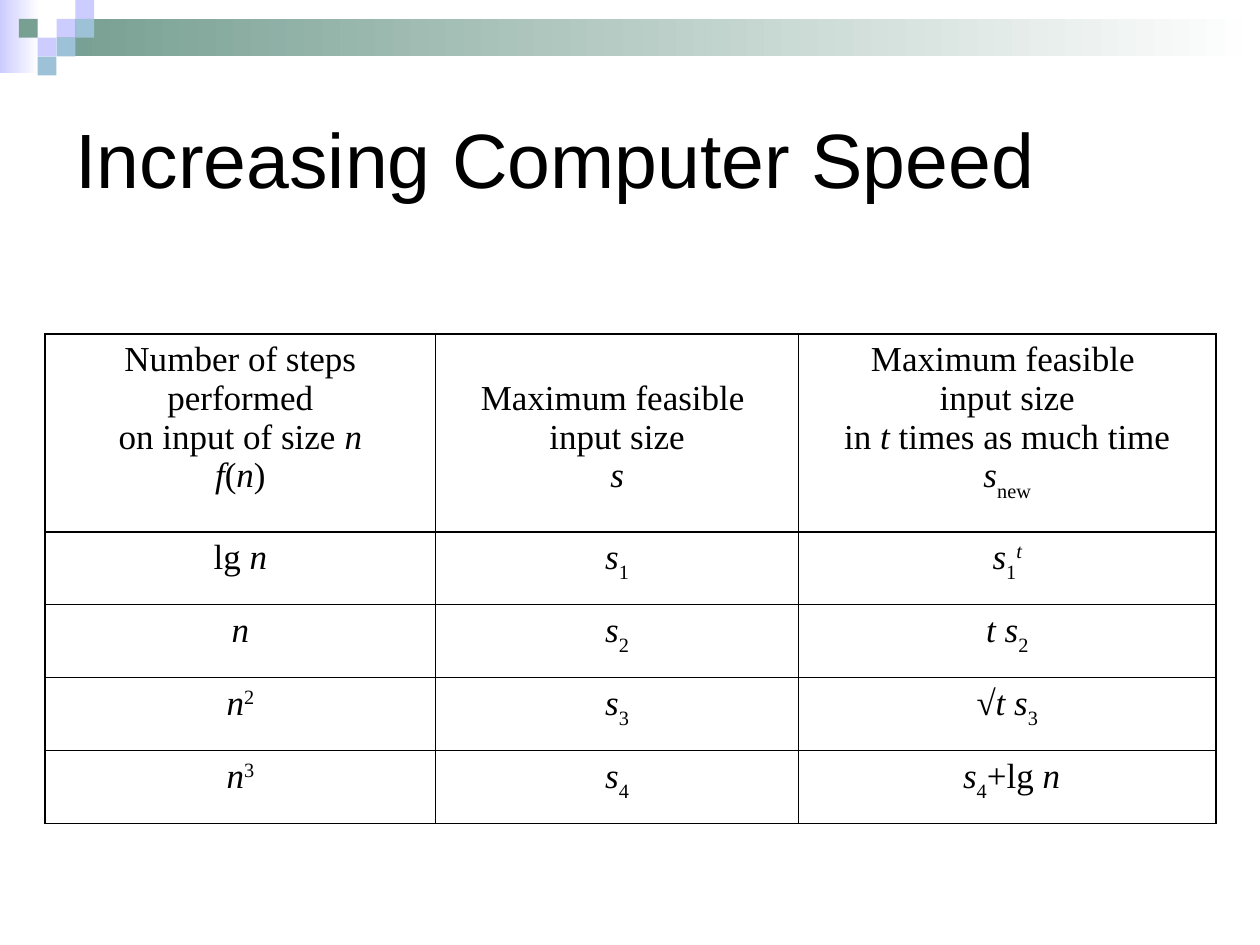
from typing import NamedTuple

from lxml.etree import SubElement
from pptx import Presentation
from pptx.dml.color import RGBColor
from pptx.enum.shapes import MSO_SHAPE as Shape
from pptx.enum.text import MSO_ANCHOR as Anchor, PP_ALIGN as Align
from pptx.oxml.ns import qn
from pptx.util import Cm, Pt

BLACK = RGBColor(0x00, 0x00, 0x00)
WHITE = RGBColor(0xFF, 0xFF, 0xFF)
LILAC = RGBColor(0xCC, 0xCC, 0xFF)
GREEN = RGBColor(0x77, 0x9F, 0x92)
BLUE = RGBColor(0x9D, 0xC2, 0xD7)

TITLE_FONT = {"name": "Arial", "size": Pt(44)}
CELL_FONT = {"name": "Times New Roman", "size": Pt(20)}
SQUARE = 0.38
LINE_HEIGHT = 0.78


class Band(NamedTuple):
    left: float
    top: float
    width: float
    height: float
    color: RGBColor


class Square(NamedTuple):
    column: int
    row: int
    color: RGBColor


class Span(NamedTuple):
    text: str
    italic: bool = False
    baseline: int = 0


Line = list[Span]


def variable(text: str) -> Span:
    return Span(text, italic=True)


def sub(text: str) -> Span:
    return Span(text, baseline=-30000)


def sup(text: str, italic: bool = False) -> Span:
    return Span(text, italic, 30000)


BANDS = [
    Band(0, 0, 0.79, 1.47, LILAC),
    Band(1.14, 0.38, 24.26, 0.76, GREEN),
]
SQUARES = [
    Square(3, 1, LILAC),
    Square(4, 0, LILAC),
    Square(4, 1, BLUE),
    Square(2, 2, LILAC),
    Square(1, 1, GREEN),
    Square(3, 2, BLUE),
    Square(2, 3, BLUE),
]

N, S, T = variable("n"), variable("s"), variable("t")
MAXIMUM_INPUT = [[Span("Maximum feasible ")], [Span("input size")]]
HEADER = [
    [
        [Span("Number of steps performed")],
        [Span("on input of size "), N],
        [variable("f"), Span("("), N, Span(")")],
    ],
    [*MAXIMUM_INPUT, [S]],
    [*MAXIMUM_INPUT, [Span("in "), T, Span(" times as much time")], [S, sub("new")]],
]
STEPS = [[Span("lg "), N], [N], [N, sup("2")], [N, sup("3")]]
NEW_SIZES = [
    [S, sub("1"), sup("t", italic=True)],
    [variable("t s"), sub("2")],
    [Span("√"), variable("t s"), sub("3")],
    [variable(" s"), sub("4"), Span("+lg "), N],
]
BODY = [
    [[steps], [[S, sub(str(number))]], [new_size]]
    for number, (steps, new_size) in enumerate(zip(STEPS, NEW_SIZES), 1)
]
COLUMN_WIDTHS = [7.87, 7.32, 8.41]
ROW_HEIGHTS = [3.99] + [1.47] * len(BODY)


def apply_format(target, values: dict) -> None:
    for name, value in values.items():
        setattr(target, name, value)


def add_box(page, left: float, top: float, width: float, height: float):
    box = page.shapes.add_shape(
        Shape.RECTANGLE, Cm(left), Cm(top), Cm(width), Cm(height)
    )
    box.shadow.inherit = False
    box.line.fill.background()
    return box


def draw_band(page, band: Band) -> None:
    fill = add_box(page, band.left, band.top, band.width, band.height).fill
    fill.gradient()
    fill.gradient_angle = 0
    for stop, color in zip(fill.gradient_stops, (band.color, WHITE)):
        stop.color.rgb = color


def draw_square(page, square: Square) -> None:
    box = add_box(page, square.column * SQUARE, square.row * SQUARE, SQUARE, SQUARE)
    box.fill.solid()
    box.fill.fore_color.rgb = square.color


def write_title(page, text: str) -> None:
    title = page.shapes.title
    apply_format(
        title,
        {"left": Cm(1.27), "top": Cm(1.27), "width": Cm(22.86), "height": Cm(3.81)},
    )
    title.text_frame.vertical_anchor = Anchor.MIDDLE
    para = title.text_frame.paragraphs[0]
    para.alignment = Align.LEFT
    span = para.add_run()
    span.text = text
    apply_format(span.font, TITLE_FONT)
    span.font.color.rgb = BLACK


def add_borders(cell) -> None:
    properties = cell._tc.get_or_add_tcPr()
    for side in ("a:lnL", "a:lnR", "a:lnT", "a:lnB"):
        border = SubElement(properties, qn(side), w=str(Pt(1)))
        solid = SubElement(border, qn("a:solidFill"))
        SubElement(solid, qn("a:srgbClr"), val=str(BLACK))


def write_cell(cell, lines: list[Line]) -> None:
    add_borders(cell)
    cell.fill.background()
    cell.vertical_anchor = Anchor.TOP
    frame = cell.text_frame
    for index, line in enumerate(lines):
        para = frame.add_paragraph() if index else frame.paragraphs[0]
        para.alignment = Align.CENTER
        for part in line:
            span = para.add_run()
            span.text = part.text
            apply_format(span.font, CELL_FONT | {"italic": part.italic})
            span.font.color.rgb = BLACK
            if part.baseline:
                span._r.get_or_add_rPr().set("baseline", str(part.baseline))


def draw_table(page, rows: list[list[list[Line]]]) -> None:
    table = page.shapes.add_table(
        len(rows),
        len(COLUMN_WIDTHS),
        Cm(0.91),
        Cm(6.73),
        Cm(sum(COLUMN_WIDTHS)),
        Cm(sum(ROW_HEIGHTS)),
    ).table
    apply_format(table, {"first_row": False, "horz_banding": False})
    for column, width in zip(table.columns, COLUMN_WIDTHS):
        column.width = Cm(width)
    for row, height, contents in zip(table.rows, ROW_HEIGHTS, rows):
        row.height = Cm(height)
        for cell, lines in zip(row.cells, contents):
            write_cell(cell, lines)
    table.cell(0, 1).margin_top = Cm(0.13 + LINE_HEIGHT)


def main() -> None:
    deck = Presentation()
    apply_format(deck, {"slide_width": Cm(25.4), "slide_height": Cm(19.05)})
    page = deck.slides.add_slide(deck.slide_layouts[5])
    for band in BANDS:
        draw_band(page, band)
    for square in SQUARES:
        draw_square(page, square)
    write_title(page, "Increasing Computer Speed")
    draw_table(page, [HEADER, *BODY])
    deck.save("out.pptx")


if __name__ == "__main__":
    main()
